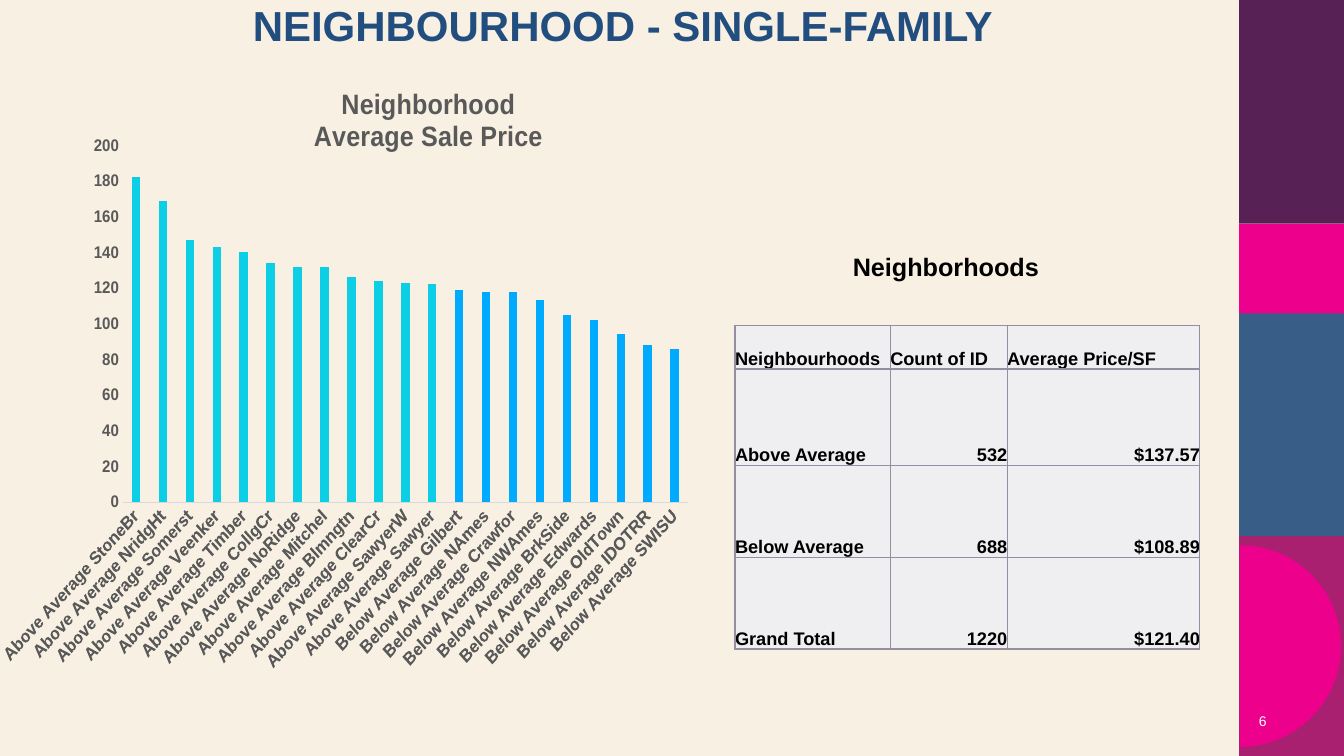
from dataclasses import dataclass
from math import cos, pi, sin

from lxml.etree import SubElement
from pptx import Presentation
from pptx.chart.data import CategoryChartData as ChartData
from pptx.dml.color import RGBColor as Rgb
from pptx.enum.chart import XL_CHART_TYPE as Kind, XL_TICK_MARK as Tick
from pptx.enum.shapes import MSO_SHAPE as Shape
from pptx.enum.text import MSO_ANCHOR as Anchor, PP_ALIGN as Align
from pptx.oxml import parse_xml
from pptx.oxml.ns import nsdecls, qn
from pptx.util import Inches, Pt


@dataclass(frozen=True)
class Theme:
    font: str = "Arial"
    back: str = "F8F0E3"
    navy: str = "224E7F"
    plum: str = "582156"
    pink: str = "EC008C"
    blue: str = "385E88"
    wine: str = "AA2070"
    black: str = "000000"
    white: str = "FFFFFF"
    gray: str = "595959"
    rule: str = "D9D9D9"
    above: str = "0CCFE5"
    below: str = "00AAFF"
    cell: str = "EFEEF0"
    edge: str = "958EA2"
    head: int = 30
    title: int = 20
    label: int = 18
    body: int = 13
    scale: int = 12
    small: int = 10


theme = Theme()


def ink(font, size, color, bold=True):
    font.name, font.size, font.bold = theme.font, Pt(size), bold
    font.color.rgb = Rgb.from_string(color)


def place(part, spot, **sides):
    """Give a chart part a manual layout, as its child number spot."""
    for old in part.findall(qn("c:layout")):
        part.remove(old)
    rules = "".join(f'<c:{k} val="{v}"/>' for k, v in sides.items())
    part.insert(spot, parse_xml(
        f'<c:layout {nsdecls("c")}><c:manualLayout>{rules}</c:manualLayout></c:layout>'))


deck = Presentation()
deck.slide_width, deck.slide_height = Inches(13.33), Inches(7.5)
slide = deck.slides.add_slide(deck.slide_layouts[6])
slide.background.fill.solid()
slide.background.fill.fore_color.rgb = Rgb.from_string(theme.back)
shapes = slide.shapes

# Side band: four blocks and a half disc
band = []
for top, high, color in [(5.28, 2.22, theme.wine), (3.1, 2.22, theme.blue),
                         (0, 2.22, theme.plum), (2.22, 0.89, theme.pink)]:
    block = shapes.add_shape(Shape.RECTANGLE, Inches(12.29), Inches(top),
                             Inches(1.11), Inches(high))
    band.append((block, color))

arc = [(Inches(12.3 + sin(pi * i / 90)), Inches(6.41 - cos(pi * i / 90)))
       for i in range(91)]
pen = shapes.build_freeform(*arc[0])
pen.add_line_segments(arc[1:], close=True)
band.append((pen.convert_to_shape(), theme.pink))

for part, color in band:
    part.shadow.inherit = False
    part.fill.solid()
    part.fill.fore_color.rgb = Rgb.from_string(color)
    part.line.fill.background()

# Heading, table caption and page number
for text, spot, size, color, bold, align, anchor in [
    ("NEIGHBOURHOOD - SINGLE-FAMILY", (0.84, 0, 10.68, 1), theme.head,
     theme.navy, True, Align.CENTER, Anchor.TOP),
    ("Neighborhoods", (8.36, 2.44, 3.54, 0.4), theme.label,
     theme.black, True, Align.LEFT, Anchor.TOP),
    ("6", (12.16, 6.95, 0.5, 0.4), theme.small,
     theme.white, False, Align.RIGHT, Anchor.MIDDLE),
]:
    frame = shapes.add_textbox(*map(Inches, spot)).text_frame
    frame.word_wrap, frame.vertical_anchor = True, anchor
    frame.text = text
    para = frame.paragraphs[0]
    para.alignment = align
    if size == theme.head:
        para.line_spacing = 0.9
    ink(para.runs[0].font, size, color, bold)

# Chart of average sale prices
groups = [
    ("Above Average", theme.above, {
        "StoneBr": 182, "NridgHt": 169, "Somerst": 147, "Veenker": 143,
        "Timber": 140, "CollgCr": 134, "NoRidge": 132, "Mitchel": 132,
        "Blmngtn": 126, "ClearCr": 124, "SawyerW": 123, "Sawyer": 122}),
    ("Below Average", theme.below, {
        "Gilbert": 119, "NAmes": 118, "Crawfor": 118, "NWAmes": 113,
        "BrkSide": 105, "Edwards": 102, "OldTown": 94, "IDOTRR": 88,
        "SWISU": 86}),
]
bars = [(f"{group} {area}", price, color)
        for group, color, areas in groups for area, price in areas.items()]
data = ChartData()
data.categories = [name for name, _, _ in bars]
data.add_series("Series 1", [price for _, price, _ in bars])
chart = shapes.add_chart(Kind.COLUMN_CLUSTERED, Inches(0), Inches(0.64),
                         Inches(6.95), Inches(6.68), data).chart
ink(chart.font, theme.small, theme.black, False)
chart.has_legend = False

frame = chart.chart_title.text_frame
frame.text = "Neighborhood\nAverage Sale Price"
for para in frame.paragraphs:
    para.alignment = Align.CENTER
    ink(para.runs[0].font, theme.title, theme.gray)
place(chart.chart_title._element, 1, xMode="edge", yMode="edge", x=0.38, y=0.03)

plot = chart.plots[0]
plot.gap_width, plot.overlap, plot.vary_by_categories = 219, -27, False
place(chart._chartSpace.chart.plotArea, 0, layoutTarget="inner", xMode="edge",
      yMode="edge", x=0.08, y=0.12, w=0.9, h=0.53)
series = plot.series[0]
series.format.fill.solid()
series.format.fill.fore_color.rgb = Rgb.from_string(theme.navy)
for i, (_, _, color) in enumerate(bars):
    fill = series.points[i].format.fill
    fill.solid()
    fill.fore_color.rgb = Rgb.from_string(color)

cats, vals = chart.category_axis, chart.value_axis
for axis, size in [(cats, theme.body), (vals, theme.scale)]:
    axis.major_tick_mark = axis.minor_tick_mark = Tick.NONE
    axis.has_major_gridlines = False
    ink(axis.tick_labels.font, size, theme.gray)
cats.format.line.color.rgb = Rgb.from_string(theme.rule)
cats.format.line.width = Pt(0.75)
cats._element.find(qn("c:txPr")).find(qn("a:bodyPr")).set("rot", "-2700000")
vals.format.line.fill.background()
vals.minimum_scale, vals.maximum_scale, vals.major_unit = 0, 200, 20

# Table of group totals
rows = [
    ("Neighbourhoods", "Count of ID", "Average Price/SF"),
    ("Above Average", "532", "$137.57"),
    ("Below Average", "688", "$108.89"),
    ("Grand Total", "1220", "$121.40"),
]
table = shapes.add_table(4, 3, Inches(7.29), Inches(3.23),
                         Inches(4.61), Inches(3.21)).table
table.first_row = table.horz_banding = False
for col, wide in zip(table.columns, (1.54, 1.16, 1.91)):
    col.width = Inches(wide)
for row, high in zip(table.rows, (0.43, 0.96, 0.91, 0.91)):
    row.height = Inches(high)
for r, row in enumerate(rows):
    for c, text in enumerate(row):
        cell = table.cell(r, c)
        cell.text = text
        cell.vertical_anchor = Anchor.BOTTOM
        cell.margin_left = cell.margin_right = 0
        cell.margin_top = cell.margin_bottom = 0
        para = cell.text_frame.paragraphs[0]
        para.alignment = Align.RIGHT if r and c else Align.LEFT
        ink(para.runs[0].font, theme.body, theme.black)
        props = cell._tc.get_or_add_tcPr()
        for side in ("a:lnL", "a:lnR", "a:lnT", "a:lnB"):
            line = SubElement(props, qn(side), w=str(Pt(1)))
            solid = SubElement(line, qn("a:solidFill"))
            SubElement(solid, qn("a:srgbClr"), val=theme.edge)
        cell.fill.solid()
        cell.fill.fore_color.rgb = Rgb.from_string(theme.cell)

deck.save("out.pptx")
